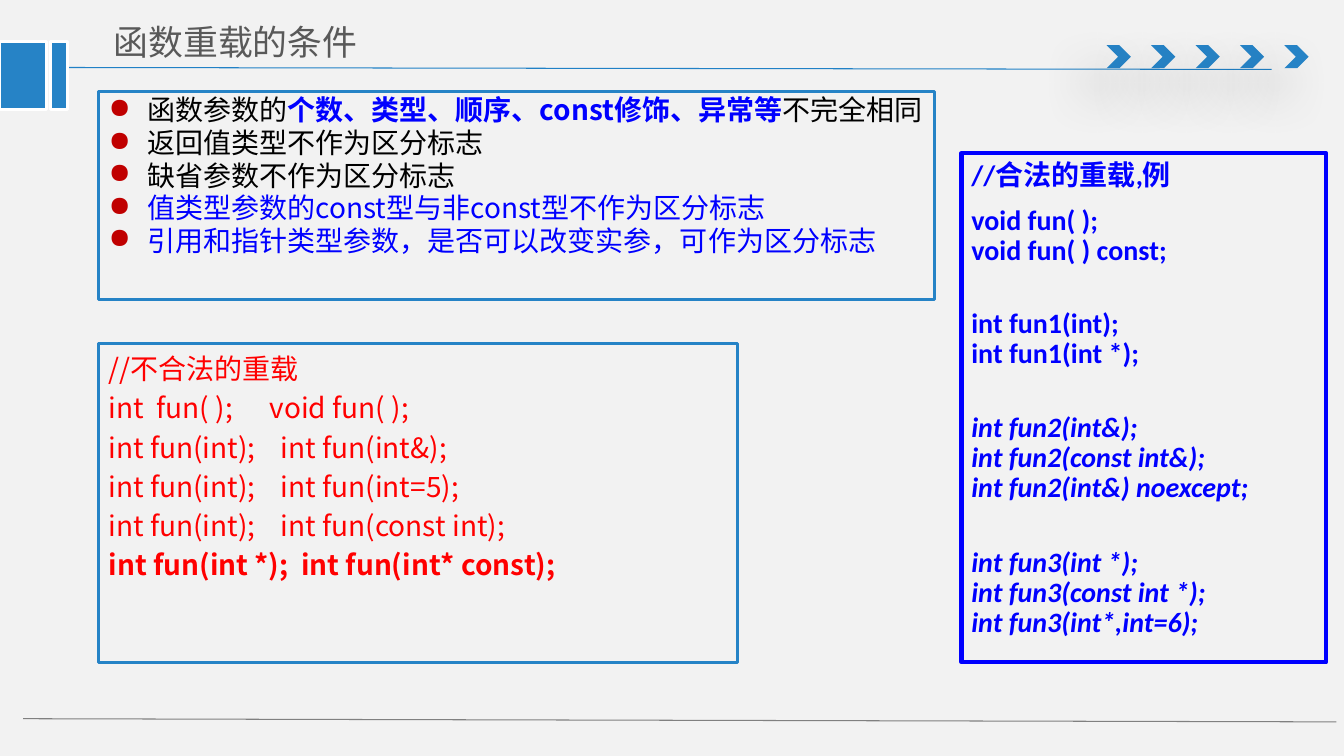
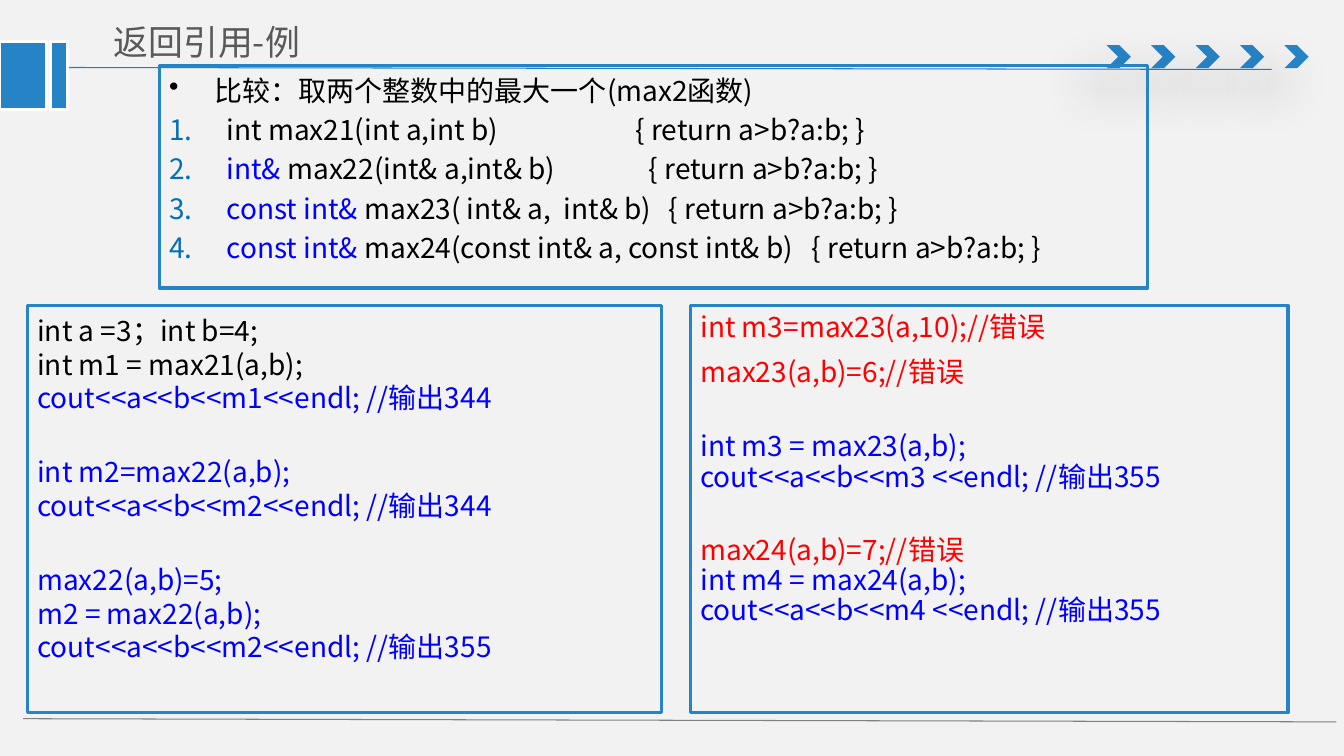
from dataclasses import dataclass

from lxml import etree
from pptx import Presentation
from pptx import util as u
from pptx.dml.color import RGBColor
from pptx.enum import shapes, text
from pptx.oxml import ns


@dataclass(frozen=True)
class Theme:
    paper: str = "F2F2F2"
    accent: str = "2683C6"
    rule: str = "2181C6"
    footer: str = "808080"
    title: str = "595959"
    white: str = "FFFFFF"
    black: str = "000000"
    blue: str = "0000FF"
    red: str = "FF0000"
    bullet: str = "C00000"
    number: str = "046FB6"
    cjk: str = "Noto Sans CJK SC"
    latin: str = "Calibri"
    title_size: float = 24.9
    body_size: float = 20
    dense: float = 19.3
    compact: float = 21.5
    normal: float = 24


THEME = Theme()


@dataclass
class Para:
    spans: list
    before: float = 4
    indent: float = 0
    mark: str = ""
    mark_colour: str = THEME.black
    tab: float = 0


def apply(target, values):
    for name, value in values.items():
        setattr(target, name, value)


def colour(value):
    return RGBColor.from_string(value)


def child(parent, tag, **attributes):
    element = etree.SubElement(parent, ns.qn(tag))
    for name, value in attributes.items():
        element.set(name, str(value))
    return element


def paint(shape, fill=None, line=None, width=1):
    shape.shadow.inherit = False
    if fill:
        shape.fill.solid()
        shape.fill.fore_color.rgb = colour(fill)
    else:
        shape.fill.background()
    if line:
        shape.line.color.rgb = colour(line)
        shape.line.width = u.Pt(width)
    else:
        shape.line.fill.background()


def add_block(page, kind, place, **style):
    shape = page.shapes.add_shape(kind, *map(u.Cm, place))
    paint(shape, **style)
    return shape


def add_rule(page, ends, line):
    rule = page.shapes.add_connector(shapes.MSO_CONNECTOR.STRAIGHT, *map(u.Cm, ends))
    rule.line.color.rgb = colour(line)
    rule.line.width = u.Pt(0.75)
    child(rule._element.spPr, "a:effectLst")


def add_soft_shadow(shape):
    effects = shape._element.spPr.find(ns.qn("a:effectLst"))
    shadow = child(effects, "a:outerShdw", blurRad=u.Pt(36), dist=u.Pt(24),
                   dir=130 * 60000, algn="t", rotWithShape=0)
    child(child(shadow, "a:srgbClr", val=THEME.black), "a:alpha", val=38000)


def add_span(para, words, ink, face=THEME.cjk, size=THEME.body_size, **style):
    for index, line in enumerate(words.split("\n")):
        if index:
            para.add_line_break()
        span = para.add_run()
        span.text = line
        apply(span.font, {"name": face, "size": u.Pt(size), **style})
        span.font.color.rgb = colour(ink)
        child(span._r.get_or_add_rPr(), "a:ea", typeface=THEME.cjk)


def add_marks(para, content):
    props = para._p.get_or_add_pPr()
    if content.indent:
        props.set("marL", str(u.Cm(content.indent)))
        props.set("indent", str(-u.Cm(content.indent)))
    if content.mark:
        child(child(props, "a:buClr"), "a:srgbClr", val=content.mark_colour)
        if content.mark == "1.":
            child(props, "a:buAutoNum", type="arabicPeriod")
        else:
            child(props, "a:buChar", char=content.mark)
    if content.tab:
        child(child(props, "a:tabLst"), "a:tab", pos=u.Cm(content.tab), algn="l")


def add_panel(page, place, paras, spacing=THEME.normal, line=THEME.accent, width=2.25,
              **style):
    box = add_block(page, shapes.MSO_SHAPE.RECTANGLE, place, line=line, width=width)
    frame = box.text_frame
    apply(frame, {"word_wrap": True, "vertical_anchor": text.MSO_ANCHOR.TOP,
                  "margin_left": u.Cm(0.25), "margin_right": u.Cm(0.25),
                  "margin_top": u.Cm(0.2), "margin_bottom": u.Cm(0.13)})
    for index, content in enumerate(paras):
        para = frame.add_paragraph() if index else frame.paragraphs[0]
        add_marks(para, content)
        apply(para, {"alignment": text.PP_ALIGN.LEFT, "line_spacing": u.Pt(spacing),
                     "space_before": u.Pt(content.before if index else 0)})
        for words, ink, *extra in content.spans:
            add_span(para, words, ink, **style, **(extra[0] if extra else {}))


def add_page(deck, heading):
    page = deck.slides.add_slide(deck.slide_layouts[5])
    add_rule(page, (1.35, 1.7, 32.05, 1.75), THEME.rule)
    for index in range(5):
        arrow = add_block(page, shapes.MSO_SHAPE.CHEVRON,
                          (27.89 + 1.12 * index, 1.14, 0.61, 0.58), fill=THEME.accent)
        add_soft_shadow(arrow)
    add_rule(page, (0.58, 18.11, 33.68, 18.19), THEME.footer)
    for left, width in ((0, 1.17), (1.27, 0.43)):
        add_block(page, shapes.MSO_SHAPE.RECTANGLE, (left, 1.04, width, 1.73),
                  fill=THEME.accent, line=THEME.white, width=2)
    title = page.shapes.title
    apply(title, {"left": u.Cm(2.51), "top": u.Cm(0.36),
                  "width": u.Cm(11.76), "height": u.Cm(1.4)})
    frame = title.text_frame
    apply(frame, {"word_wrap": True, "vertical_anchor": text.MSO_ANCHOR.MIDDLE,
                  "margin_left": u.Cm(0.36), "margin_right": u.Cm(0.36),
                  "margin_top": u.Cm(0.18), "margin_bottom": u.Cm(0.18)})
    para = frame.paragraphs[0]
    para.alignment = text.PP_ALIGN.LEFT
    add_span(para, heading, THEME.title, size=THEME.title_size)
    return page


def build_conditions(deck):
    page = add_page(deck, "函数重载的条件")
    black, blue, red = THEME.black, THEME.blue, THEME.red
    bold, italic = {"bold": True}, {"italic": True}
    conditions = [
        [("函数参数的", black), ("个数、类型、顺序、const修饰、异常等", blue, bold),
         ("不完全相同", black)],
        [("返回值类型不作为区分标志", black)],
        [("缺省参数不作为区分标志", black)],
        [("值类型参数的const型与非const型不作为区分标志", blue)],
        [("引用和指针类型参数，是否可以改变实参，可作为区分标志", blue)],
    ]
    add_panel(page, (2.49, 2.31, 21.06, 5.23),
              [Para(spans, indent=0.97, mark="●", mark_colour=THEME.bullet)
               for spans in conditions], THEME.dense)
    illegal = [
        ("int  fun( );\tvoid fun( );", 4.06, {}),
        ("int fun(int);\tint fun(int&);", 4.34, {}),
        ("int fun(int);\tint fun(int=5);", 4.34, {}),
        ("int fun(int);\tint fun(const int);", 4.34, {}),
        ("int fun(int *);\tint fun(int* const);", 4.85, bold),
    ]
    add_panel(page, (2.49, 8.66, 16.1, 8.03),
              [Para([("//不合法的重载", red)])]
              + [Para([(code, red, style)], tab=tab) for code, tab, style in illegal])
    legal = [
        Para([("//合法的重载,例", blue)]),
        Para([("void fun( );\nvoid fun( ) const;", blue)], 10.5),
        Para([("int fun1(int);\nint fun1(int *);", blue)], 31),
        Para([("int fun2(int&);\nint fun2(const int&);\nint fun2(int&) noexcept;",
               blue, italic)], 31),
        Para([("int fun3(int *);\nint fun3(const int *);\nint fun3(int*,int=6);",
               blue, italic)], 32),
    ]
    add_panel(page, (24.23, 3.86, 9.19, 12.83), legal, THEME.compact,
              line=blue, width=3, face=THEME.latin, bold=True)


def build_references(deck):
    page = add_page(deck, "返回引用-例")
    black, blue, red = THEME.black, THEME.blue, THEME.red
    functions = [
        ("", "int max21(int a,int b)", 11.76),
        ("int& ", "max22(int& a,int& b)", 12.09),
        ("const int& ", "max23( int& a,  int& b)", 12.6),
        ("const int& ", "max24(const int& a, const int& b)", 16.2),
    ]
    paras = [Para([("比较：取两个整数中的最大一个(max2函数)", black)], indent=1.14, mark="•")]
    for result, signature, tab in functions:
        spans = [(result, blue)] if result else []
        spans.append((signature + "\t{ return a>b?a:b; }", black))
        paras.append(Para(spans, indent=1.45, mark="1.", mark_colour=THEME.number, tab=tab))
    add_panel(page, (4.01, 1.65, 24.92, 5.61), paras)
    add_panel(page, (0.69, 7.7, 15.98, 10.26), [
        Para([("int a =3；int b=4;\nint m1 = max21(a,b);\n", black),
              ("cout<<a<<b<<m1<<endl; //输出344", blue)]),
        Para([("int m2=max22(a,b);\ncout<<a<<b<<m2<<endl; //输出344", blue)], 29),
        Para([("max22(a,b)=5;\nm2 = max22(a,b);\ncout<<a<<b<<m2<<endl; //输出355",
               blue)], 29),
    ])
    add_panel(page, (17.4, 7.7, 15.06, 10.26), [
        Para([("int m3=max23(a,10);//错误", red)]),
        Para([("max23(a,b)=6;//错误", red)], 10),
        Para([("int m3 = max23(a,b);\ncout<<a<<b<<m3 <<endl; //输出355", blue)], 32),
        Para([("max24(a,b)=7;//错误\n", red),
              ("int m4 = max24(a,b);\ncout<<a<<b<<m4 <<endl; //输出355", blue)], 31),
    ], THEME.compact)


def main():
    deck = Presentation()
    apply(deck, {"slide_width": u.Cm(33.87), "slide_height": u.Cm(19.05)})
    backdrop = deck.slide_master.background.fill
    backdrop.solid()
    backdrop.fore_color.rgb = colour(THEME.paper)
    build_conditions(deck)
    build_references(deck)
    deck.save("out.pptx")


if __name__ == "__main__":
    main()
